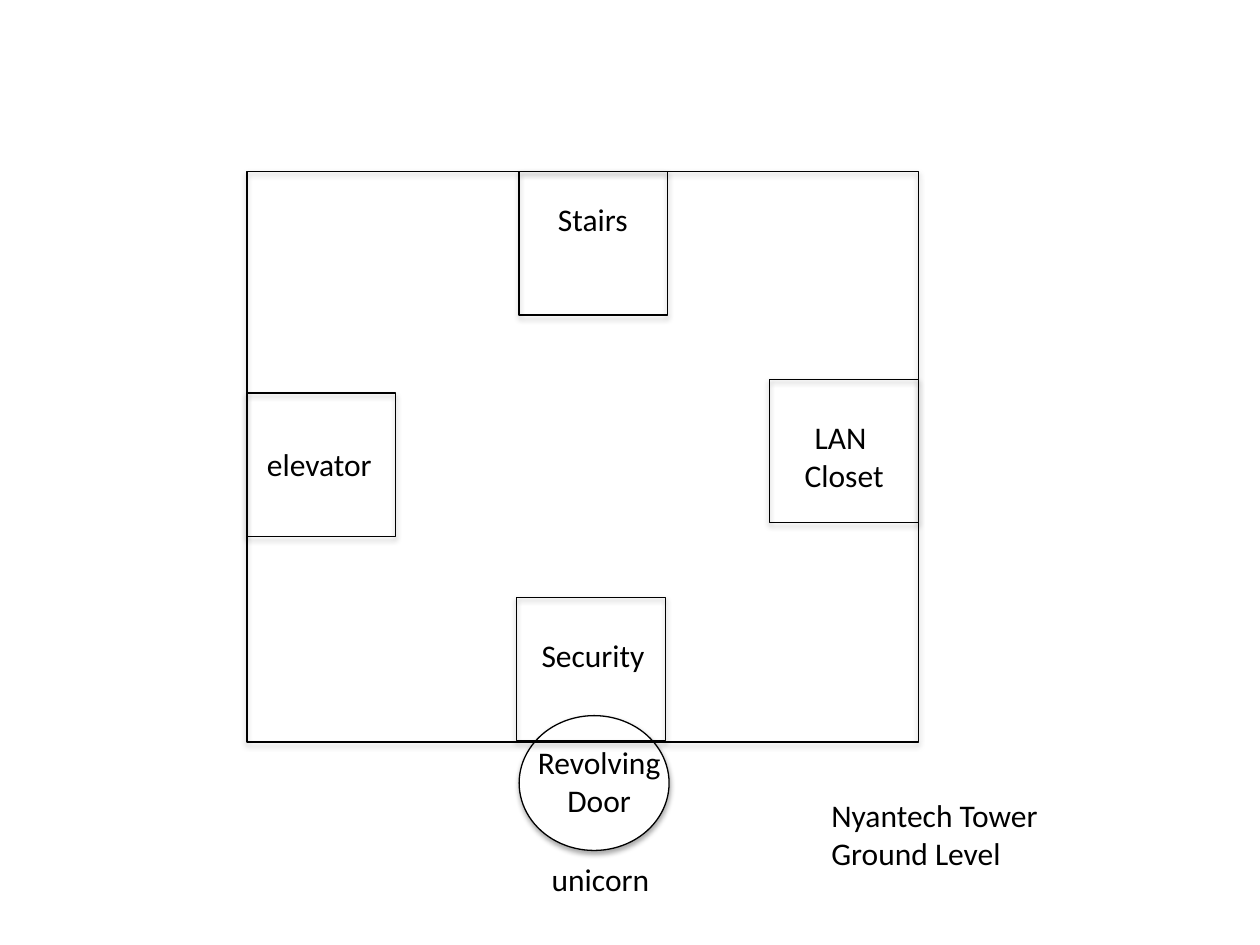
from dataclasses import dataclass

from lxml import etree
from pptx import Presentation
from pptx.dml.color import RGBColor
from pptx.enum.shapes import MSO_SHAPE
from pptx.enum.text import MSO_AUTO_SIZE, PP_ALIGN
from pptx.oxml.ns import qn
from pptx.util import Inches, Pt

RECT, OVAL = MSO_SHAPE.RECTANGLE, MSO_SHAPE.OVAL
LEFT, MID = PP_ALIGN.LEFT, PP_ALIGN.CENTER
FIT = MSO_AUTO_SIZE.SHAPE_TO_FIT_TEXT
HEX = {"ink": "000000", "paper": "FFFFFF"}
FONT = "Calibri"
ROOM_W, ROOM_H = 1.18, 1.14


@dataclass
class Area:
    x: float
    y: float
    w: float = ROOM_W
    h: float = ROOM_H
    kind: int = RECT
    fill: str = ""


@dataclass
class Label:
    text: str
    x: float
    y: float
    w: float
    align: int = LEFT


def color(name: str) -> RGBColor:
    return RGBColor.from_string(HEX[name])


def add_shade(shape) -> None:
    """Add a soft shadow straight below the shape."""
    fx = etree.SubElement(shape._element.spPr, qn("a:effectLst"))
    shade = etree.SubElement(
        fx, qn("a:outerShdw"), blurRad=str(Pt(3.1)), dist=str(Pt(1.8)),
        dir="5400000", rotWithShape="0")
    tint = etree.SubElement(shade, qn("a:srgbClr"), val=HEX["ink"])
    etree.SubElement(tint, qn("a:alpha"), val="35000")


def add_area(slide, area: Area) -> None:
    shape = slide.shapes.add_shape(
        area.kind, Inches(area.x), Inches(area.y), Inches(area.w), Inches(area.h))
    if area.fill:
        shape.fill.solid()
        shape.fill.fore_color.rgb = color(area.fill)
    else:
        shape.fill.background()
    shape.line.color.rgb = color("ink")
    shape.line.width = Pt(0.75)
    add_shade(shape)


def add_text(slide, text: str, *, x: float, y: float, w: float,
             align: int = LEFT, size: float = 18, ink: str = "ink") -> None:
    lines = text.split("\n")
    high = 0.1 + 0.3 * len(lines)
    box = slide.shapes.add_textbox(Inches(x), Inches(y), Inches(w), Inches(high))
    frame = box.text_frame
    frame.word_wrap = False
    frame.auto_size = FIT
    frame.text = text
    for para in frame.paragraphs:
        para.alignment = align
        para.font.name = FONT
        para.font.size = Pt(size)
        para.font.color.rgb = color(ink)


# Door, rooms and outer walls, from back to front
AREAS = [
    Area(4.12, 5.68, 1.19, 1.07, OVAL, "paper"),
    Area(4.12, 1.36),
    Area(6.11, 3.01),
    Area(1.96, 3.12),
    Area(1.96, 1.36, 5.33, 4.53),
    Area(4.1, 4.74),
]

LABELS = [
    Label("Nyantech Tower\nGround Level", 6.5, 6.27, 1.89),
    Label("unicorn", 4.28, 6.78, 0.99),
    Label("Revolving\nDoor", 4.16, 5.85, 1.19, MID),
    Label("elevator", 2.02, 3.48, 1.05),
    Label("LAN \nCloset", 6.28, 3.27, 0.84, MID),
    Label("Stairs", 4.32, 1.54, 0.77, MID),
    Label("Security", 4.2, 5, 1.03),
]

deck = Presentation()
deck.slide_width, deck.slide_height = Inches(10), Inches(7.5)
slide = deck.slides.add_slide(deck.slide_layouts[6])

# Floor plan
for area in AREAS:
    add_area(slide, area)

# Names of the rooms and the level
for item in LABELS:
    add_text(slide, item.text, x=item.x, y=item.y, w=item.w, align=item.align)

deck.save("out.pptx")
